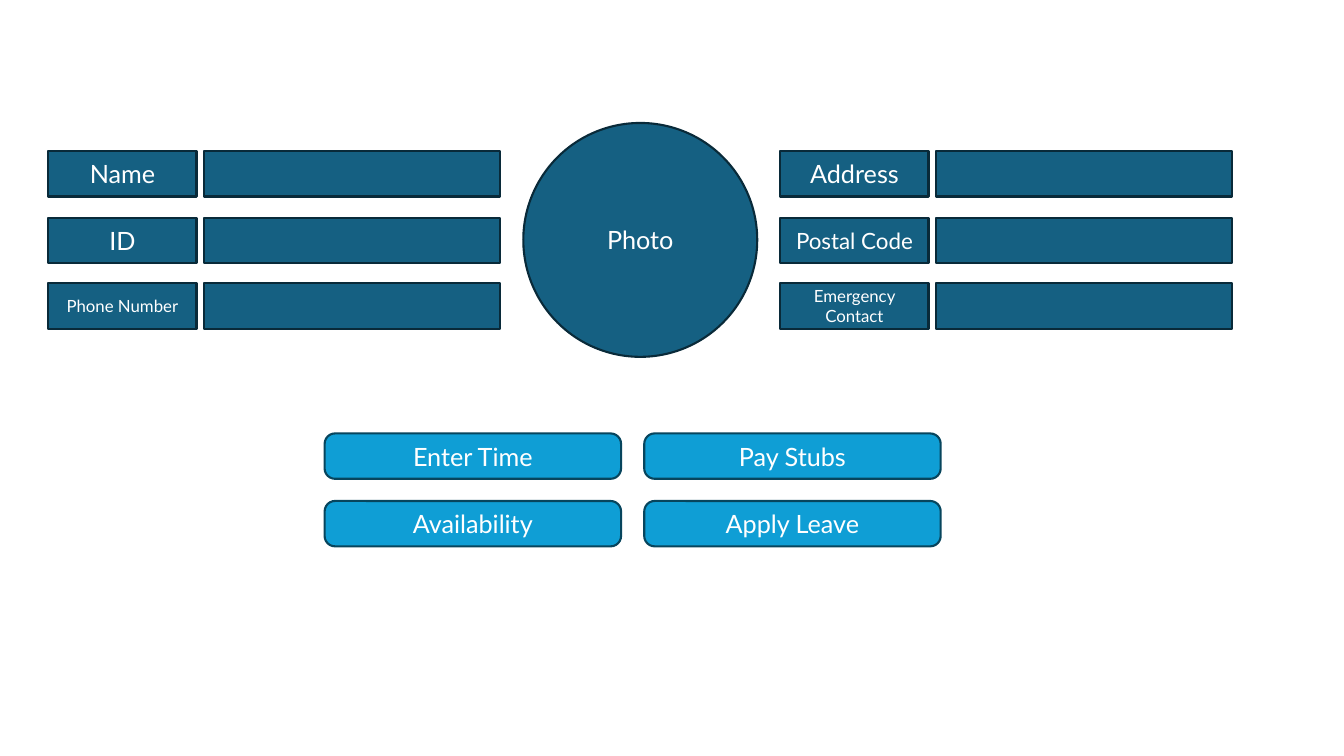
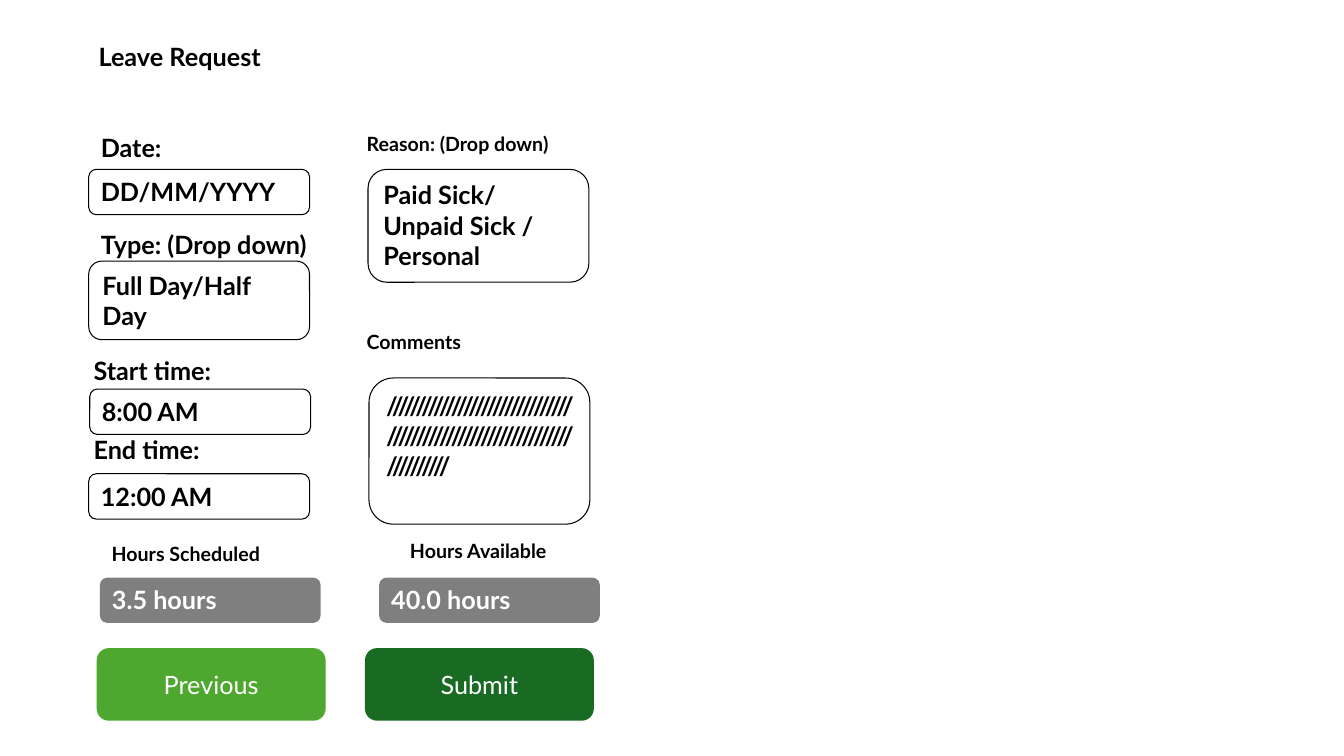
from lxml import etree
from pptx import Presentation
from pptx.dml.color import RGBColor
from pptx.enum.shapes import MSO_SHAPE
from pptx.enum.text import MSO_ANCHOR, MSO_AUTO_SIZE, PP_ALIGN
from pptx.oxml.ns import qn
from pptx.util import Inches, Pt

RECT, ROUND, OVAL = MSO_SHAPE.RECTANGLE, MSO_SHAPE.ROUNDED_RECTANGLE, MSO_SHAPE.OVAL
LEFT, CENTER = PP_ALIGN.LEFT, PP_ALIGN.CENTER
TOP, MIDDLE = MSO_ANCHOR.TOP, MSO_ANCHOR.MIDDLE
GROW = MSO_AUTO_SIZE.SHAPE_TO_FIT_TEXT

FONT = "Lato"
WHITE = RGBColor(0xFF, 0xFF, 0xFF)
BLACK = RGBColor(0x00, 0x00, 0x00)
TEAL = RGBColor(0x15, 0x60, 0x82)
TEAL_EDGE = RGBColor(0x09, 0x2A, 0x39)
BLUE = RGBColor(0x0F, 0x9E, 0xD5)
BLUE_EDGE = RGBColor(0x07, 0x45, 0x5D)
GREEN = RGBColor(0x4E, 0xA7, 0x2E)
DARK_GREEN = RGBColor(0x19, 0x6B, 0x24)

ROW_H = 0.45
PROFILE_TOPS = (1.5, 2.16, 2.81)
LABEL_W, VALUE_W, VALUE_OFFSET = 1.47, 2.94, 1.54
PROFILE = [
    (0.48, [("Name", 18), ("ID", 18), ("Phone Number", 12)]),
    (7.74, [("Address", 18), ("Postal Code", 16), ("Emergency Contact", 12)]),
]
MENU = [("Enter Time", "Pay Stubs"), ("Availability", "Apply Leave")]
MENU_LEFT, MENU_TOP, MENU_DX, MENU_DY = 3.22, 4.3, 3.17, 0.67

FIELD_W = 2.19
HEADINGS = [
    ("Leave Request", 0.88, 0.36, 5.37),
    ("Start time:", 0.83, 3.48, 6.67),
    ("End time:", 0.83, 4.26, 6.67),
]
LABELS = [
    ("Date:", 18, 0.88, 1.24, 5.37, 0.45),
    ("Type: (Drop down)", 18, 0.88, 2.2, 5.37, 0.45),
    ("Reason: (Drop down)", 14, 3.52, 1.24, FIELD_W, 0.37),
    ("Comments", 14, 3.52, 3.21, FIELD_W, 0.37),
    ("Hours Scheduled", 14, 0.99, 5.31, FIELD_W, 0.37),
    ("Hours Available", 14, 3.95, 5.28, FIELD_W, 0.37),
]
FIELDS = [
    ("DD/MM/YYYY", 0.88, 1.68, ROW_H),
    ("Full Day/Half Day", 0.88, 2.59, 0.78),
    ("8:00 AM", 0.89, 3.86, ROW_H),
    ("12:00 AM", 0.88, 4.7, ROW_H),
    ("Paid Sick/ Unpaid Sick /\nPersonal", 3.65, 1.68, 1.12),
    ("/" * 72, 3.66, 3.75, 1.45),
]
HOURS = [("3.5 hours", 0.99), ("40.0 hours", 3.76)]
ACTIONS = [("Previous", 0.96, GREEN), ("Submit", 3.62, DARK_GREEN)]


def write(sp, text, size=18, color=WHITE, bold=False, align=CENTER, anchor=MIDDLE):
    tf = sp.text_frame
    tf.word_wrap = True
    tf.vertical_anchor = anchor
    p = tf.paragraphs[0]
    p.text = text
    p.alignment = align
    p.font.name = FONT
    p.font.size = Pt(size)
    p.font.bold = bold
    p.font.color.rgb = color


def write_form(sp, text, size=18, color=BLACK):
    write(sp, text, size, color, True, LEFT, TOP)
    sp.text_frame.auto_size = GROW


def add_box(slide, kind, x, y, w, h, fill=None, edge=None, weight=1.5):
    sp = slide.shapes.add_shape(kind, Inches(x), Inches(y), Inches(w), Inches(h))
    sp.shadow.inherit = False
    if fill is None:
        sp.fill.background()
    else:
        sp.fill.solid()
        sp.fill.fore_color.rgb = fill
    if edge is None:
        sp.line.fill.background()
    else:
        sp.line.color.rgb = edge
        sp.line.width = Pt(weight)
    return sp


def make_half_transparent(sp):
    color = sp.fill._xPr.find(qn("a:solidFill"))[0]
    etree.SubElement(color, qn("a:alpha")).set("val", "50000")


def build_profile(slide):
    write(add_box(slide, OVAL, 5.19, 1.22, 2.32, 2.32, TEAL, TEAL_EDGE), "Photo")
    for x, rows in PROFILE:
        for y, (label, size) in zip(PROFILE_TOPS, rows):
            add_box(slide, RECT, x + VALUE_OFFSET, y, VALUE_W, ROW_H, TEAL, TEAL_EDGE)
            sp = add_box(slide, RECT, x, y, LABEL_W, ROW_H, TEAL, TEAL_EDGE)
            write(sp, label, size)
    for row, names in enumerate(MENU):
        for col, name in enumerate(names):
            sp = add_box(slide, ROUND, MENU_LEFT + col * MENU_DX, MENU_TOP + row * MENU_DY,
                         VALUE_W, ROW_H, BLUE, BLUE_EDGE)
            sp.adjustments[0] = 0.23
            write(sp, name)


def build_leave_request(slide):
    for text, x, y, w in HEADINGS:
        sp = slide.shapes.add_textbox(Inches(x), Inches(y), Inches(w), Inches(0.4))
        write_form(sp, text)
    for text, size, x, y, w, h in LABELS:
        write_form(add_box(slide, ROUND, x, y, w, h), text, size)
    for text, x, y, h in FIELDS:
        write_form(add_box(slide, ROUND, x, y, FIELD_W, h, None, BLACK, 0.75), text)
    for text, x in HOURS:
        sp = add_box(slide, ROUND, x, 5.73, FIELD_W, ROW_H, BLACK)
        make_half_transparent(sp)
        write_form(sp, text, color=WHITE)
    for text, x, fill in ACTIONS:
        write(add_box(slide, ROUND, x, 6.43, 2.27, 0.72, fill), text)


def main():
    prs = Presentation()
    prs.slide_width, prs.slide_height = Inches(13.33), Inches(7.5)
    for build in (build_profile, build_leave_request):
        build(prs.slides.add_slide(prs.slide_layouts[6]))
    prs.save("out.pptx")


if __name__ == "__main__":
    main()
